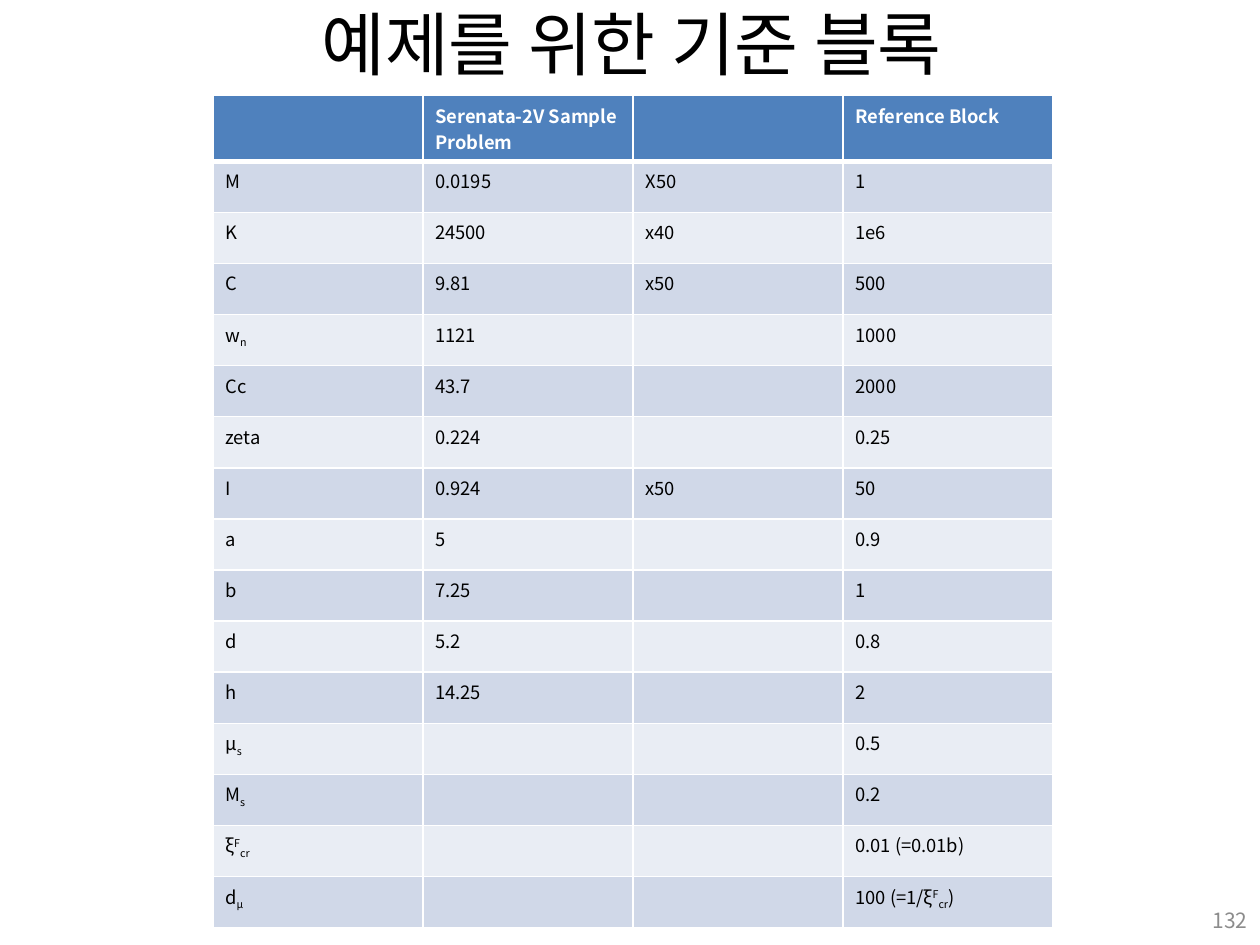
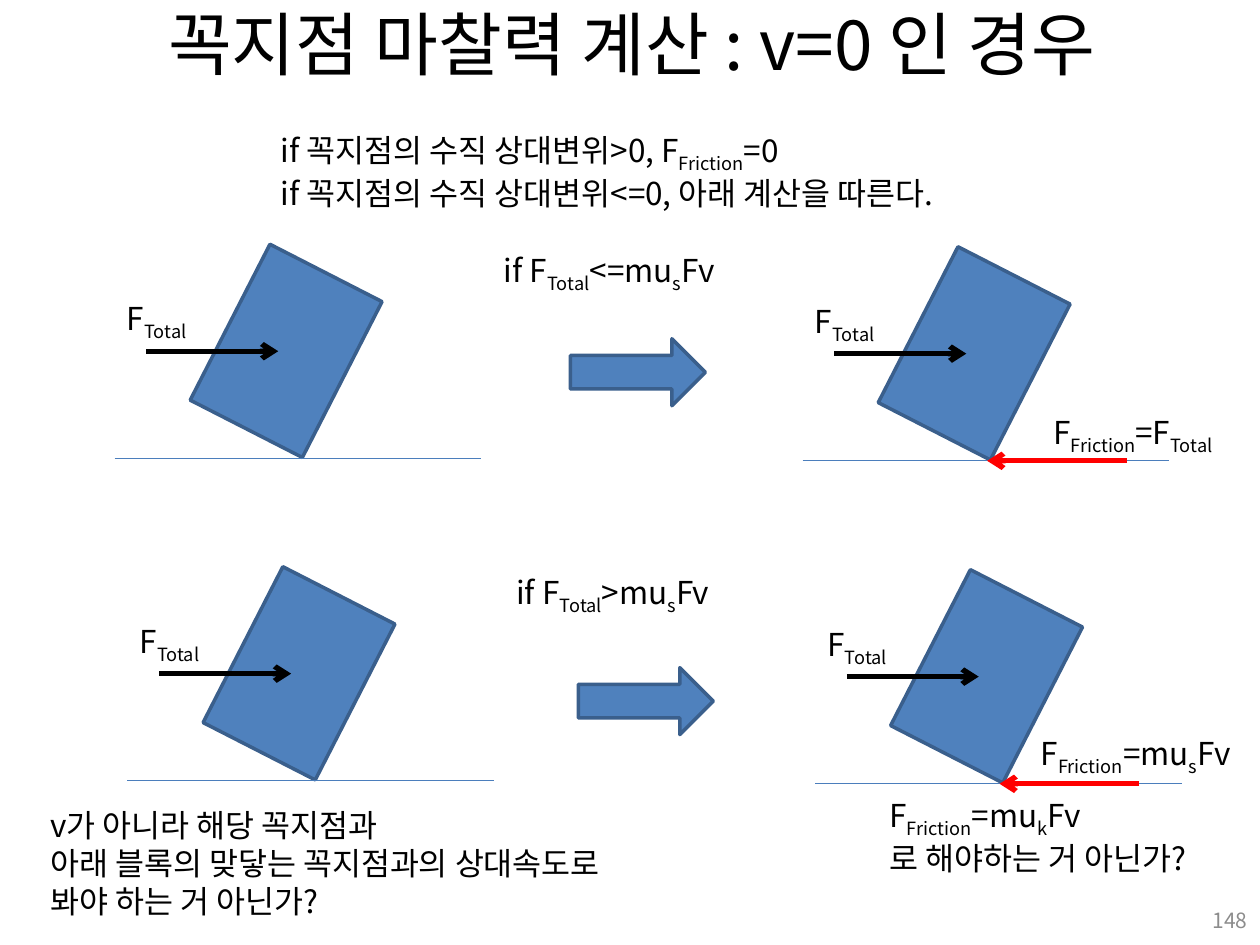
"""Build two lecture slides on the reference block and corner friction."""
from dataclasses import dataclass

from lxml.etree import SubElement
from pptx import Presentation
from pptx.dml.color import RGBColor
from pptx.enum.shapes import MSO_CONNECTOR, MSO_SHAPE
from pptx.enum.text import MSO_ANCHOR, MSO_AUTO_SIZE, PP_ALIGN
from pptx.oxml.ns import qn
from pptx.util import Cm, Pt

FONT = "Noto Sans CJK KR"
COLORS = {
    "text": "000000",
    "white": "FFFFFF",
    "number": "8C8C8C",
    "block": "4F81BD",
    "outline": "3A5F8C",
    "ground": "4B7EBC",
    "friction": "FF0000",
    "odd_row": "D0D8E8",
    "even_row": "E9EDF4",
}
BASELINES = {"_": "-25000", "^": "30000"}
HEADER_HEIGHT, ROW_HEIGHT = 1.32, 1.03
HEADER = ("", "Serenata-2V Sample Problem", "", "Reference Block")
PROPERTIES = (
    ("M", "0.0195", "X50", "1"),
    ("K", "24500", "x40", "1e6"),
    ("C", "9.81", "x50", "500"),
    ("w|_n", "1121", "", "1000"),
    ("Cc", "43.7", "", "2000"),
    ("zeta", "0.224", "", "0.25"),
    ("I", "0.924", "x50", "50"),
    ("a", "5", "", "0.9"),
    ("b", "7.25", "", "1"),
    ("d", "5.2", "", "0.8"),
    ("h", "14.25", "", "2"),
    ("μ|_s", "", "", "0.5"),
    ("Μ|_s", "", "", "0.2"),
    ("ξ|^F|_cr", "", "", "0.01 (=0.01b)"),
    ("d|_μ", "", "", "100 (=1/ξ|^F|_cr|)"),
)


@dataclass(frozen=True)
class Label:
    """Lines of text in a box; | splits runs, _ lowers and ^ raises one."""
    left: float
    top: float
    width: float
    height: float
    lines: tuple


@dataclass(frozen=True)
class Scene:
    """A tilted block standing on the ground, starting at the ground's left end."""
    left: float
    ground: float
    friction: bool


SCENES = (
    Scene(2.31, 9.24, False),
    Scene(16.18, 9.29, True),
    Scene(2.57, 15.74, False),
    Scene(16.43, 15.8, True),
)
TRANSITIONS = ((11.5, 6.83), (11.66, 13.46))
LABELS = (
    Label(9.91, 4.93, 5.08, 1.02, ("if F|_Total|<=mu|_s|Fv",)),
    Label(10.16, 11.43, 4.55, 1.02, ("if F|_Total|>mu|_s|Fv",)),
    Label(20.98, 8.2, 3.96, 1.02, ("F|_Friction|=F|_Total",)),
    Label(20.73, 14.68, 4.47, 1.02, ("F|_Friction|=mu|_s|Fv",)),
    Label(5.41, 2.51, 15.32, 1.8, (
        "if 꼭지점의 수직 상대변위>0, F|_Friction|=0",
        "if 꼭지점의 수직 상대변위<=0, 아래 계산을 따른다.",
    )),
    Label(17.68, 15.93, 7.26, 1.8, ("F|_Friction|=mu|_k|Fv", "로 해야하는 거 아닌가?")),
    Label(0.76, 16.13, 12.95, 2.57, (
        "v가 아니라 해당 꼭지점과",
        "아래 블록의 맞닿는 꼭지점과의 상대속도로",
        "봐야 하는 거 아닌가?",
    )),
)


def rgb(key: str) -> RGBColor:
    """Look up a palette colour."""
    return RGBColor.from_string(COLORS[key])


def write(paragraph, markup: str, size: float, color: str = "text", bold: bool = False) -> None:
    """Fill a paragraph with formatted runs, lowering or raising the marked ones."""
    if not markup:
        SubElement(paragraph._p, qn("a:endParaRPr"), sz=str(int(size * 100)))
        return
    for piece in markup.split("|"):
        run = paragraph.add_run()
        run.text = piece.lstrip("_^")
        run.font.size, run.font.bold, run.font.name = Pt(size), bold, FONT
        run.font.color.rgb = rgb(color)
        properties = run._r.get_or_add_rPr()
        SubElement(properties, qn("a:ea"), typeface=FONT)
        if piece[0] in BASELINES:
            properties.set("baseline", BASELINES[piece[0]])


def add_titled_slide(deck, title: str, number: str):
    """Add a slide with its centred title and page number."""
    slide = deck.slides.add_slide(deck.slide_layouts[5])
    heading = slide.shapes.title
    heading.left, heading.top, heading.width, heading.height = Cm(1.3), Cm(0), Cm(22.86), Cm(1.73)
    frame = heading.text_frame
    frame.auto_size = MSO_AUTO_SIZE.NONE
    frame.vertical_anchor = MSO_ANCHOR.MIDDLE
    frame.paragraphs[0].alignment = PP_ALIGN.CENTER
    write(frame.paragraphs[0], title, 39.6)
    page = slide.shapes.add_textbox(Cm(19.48), Cm(18.03), Cm(5.92), Cm(1.02)).text_frame
    page.word_wrap = True
    page.vertical_anchor = MSO_ANCHOR.MIDDLE
    page.paragraphs[0].alignment = PP_ALIGN.RIGHT
    write(page.paragraphs[0], number, 12, "number")
    return slide


def add_label(slide, label: Label) -> None:
    """Draw a label without wrapping."""
    frame = slide.shapes.add_textbox(
        Cm(label.left), Cm(label.top), Cm(label.width), Cm(label.height)).text_frame
    frame.word_wrap = False
    frame.auto_size = MSO_AUTO_SIZE.SHAPE_TO_FIT_TEXT
    for index, line in enumerate(label.lines):
        paragraph = frame.add_paragraph() if index else frame.paragraphs[0]
        write(paragraph, line, 18)


def add_solid(slide, kind, left: float, top: float, width: float, height: float,
              rotation: float = 0) -> None:
    """Draw an outlined blue shape."""
    solid = slide.shapes.add_shape(kind, Cm(left), Cm(top), Cm(width), Cm(height))
    solid.rotation = rotation
    solid.shadow.inherit = False
    solid.fill.solid()
    solid.fill.fore_color.rgb = rgb("block")
    solid.line.color.rgb = rgb("outline")
    solid.line.width = Pt(2)


def add_level_line(slide, start: float, end: float, y: float, color: str,
                   weight: float = 3, arrow: bool = True) -> None:
    """Draw a horizontal line, with an arrowhead at its end if wanted."""
    line = slide.shapes.add_connector(MSO_CONNECTOR.STRAIGHT, Cm(start), Cm(y), Cm(end), Cm(y))
    line.line.color.rgb = rgb(color)
    line.line.width = Pt(weight)
    if arrow:
        SubElement(line.line._get_or_add_ln(), qn("a:tailEnd"), type="arrow")
    SubElement(line._element.spPr, qn("a:effectLst"))


def add_scene(slide, scene: Scene) -> None:
    """Draw a block, its ground and the forces on it."""
    x, y = scene.left, scene.ground
    add_solid(slide, MSO_SHAPE.RECTANGLE, x + 2.19, y - 3.93, 2.54, 3.53, 27.1)
    add_level_line(slide, x, x + 7.39, y, "ground", 0.75, arrow=False)
    add_level_line(slide, x + 0.64, x + 3.3, y - 2.16, "text")
    add_label(slide, Label(x, y - 3.33, 1.75, 1.02, ("F|_Total",)))
    if scene.friction:
        add_level_line(slide, x + 6.53, x + 3.72, y, "friction")


def format_cell(cell, markup: str, row: int) -> None:
    """Set a cell's white borders, band fill and text."""
    is_header = row == 0
    weights = {"L": 1, "R": 1, "T": 3 if row == 1 else 1, "B": 3 if is_header else 1}
    properties = cell._tc.get_or_add_tcPr()
    for side, weight in weights.items():
        border = SubElement(properties, qn(f"a:ln{side}"), w=str(Pt(weight)))
        SubElement(SubElement(border, qn("a:solidFill")), qn("a:srgbClr"), val=COLORS["white"])
    band = "block" if is_header else ("even_row", "odd_row")[row % 2]
    cell.fill.solid()
    cell.fill.fore_color.rgb = rgb(band)
    write(cell.text_frame.paragraphs[0], markup, 10.5, "white" if is_header else "text", is_header)


def build_reference_slide(deck) -> None:
    """Tabulate the reference block's properties."""
    slide = add_titled_slide(deck, "예제를 위한 기준 블록", "132")
    rows = (HEADER, *PROPERTIES)
    height = HEADER_HEIGHT + ROW_HEIGHT * len(PROPERTIES)
    table = slide.shapes.add_table(
        len(rows), len(HEADER), Cm(4.29), Cm(1.93), Cm(16.94), Cm(height)).table
    for row, values in enumerate(rows):
        table.rows[row].height = Cm(ROW_HEIGHT if row else HEADER_HEIGHT)
        for column, markup in enumerate(values):
            format_cell(table.cell(row, column), markup, row)


def build_friction_slide(deck) -> None:
    """Show how the friction at a corner follows from the total force."""
    slide = add_titled_slide(deck, "꼭지점 마찰력 계산 : v=0 인 경우", "148")
    for scene in SCENES:
        add_scene(slide, scene)
    for left, top in TRANSITIONS:
        add_solid(slide, MSO_SHAPE.RIGHT_ARROW, left, top, 2.72, 1.35)
    for label in LABELS:
        add_label(slide, label)


def main() -> None:
    """Build and save the deck."""
    deck = Presentation()
    deck.slide_width, deck.slide_height = Cm(25.4), Cm(19.05)
    build_reference_slide(deck)
    build_friction_slide(deck)
    deck.save("out.pptx")


if __name__ == "__main__":
    main()
